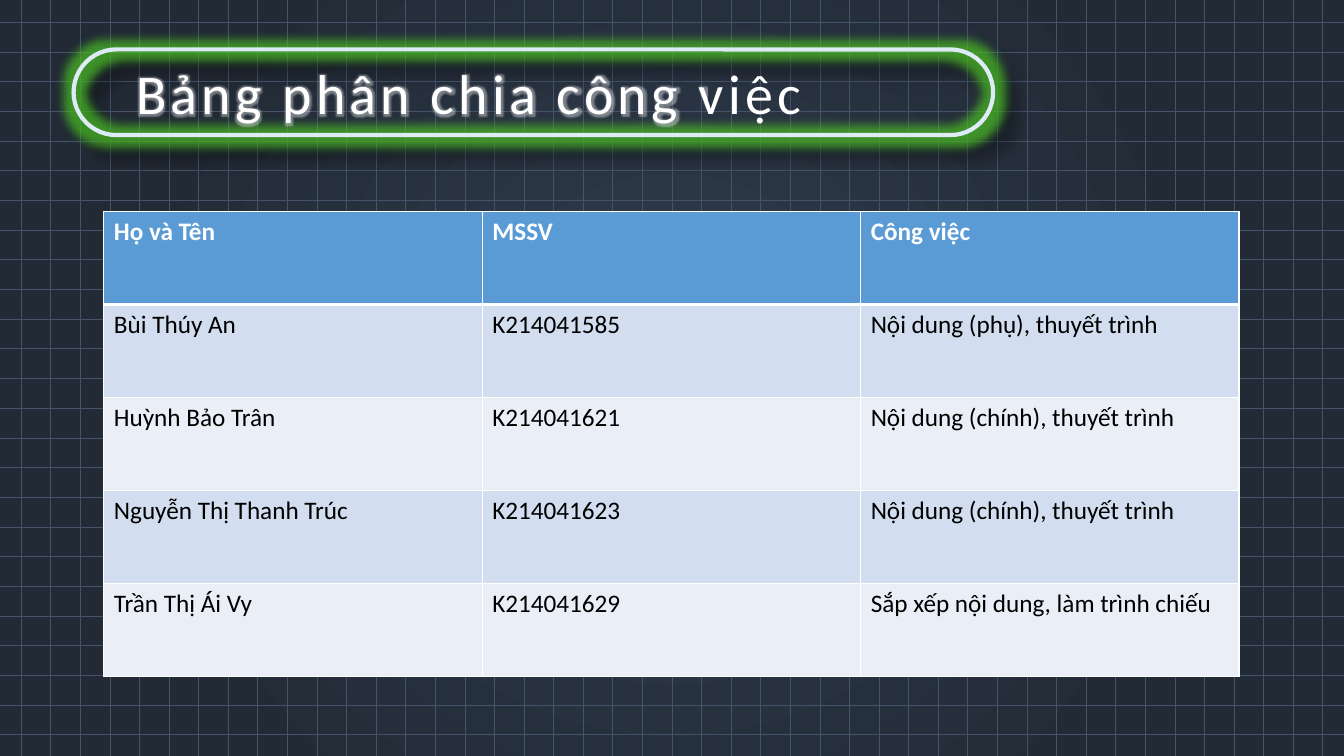
from dataclasses import dataclass
from typing import Any

from lxml.etree import SubElement
from pptx import Presentation
from pptx.dml.color import RGBColor
from pptx.enum.shapes import MSO_CONNECTOR as Connector, MSO_SHAPE as Preset
from pptx.enum.text import MSO_ANCHOR as Anchor, MSO_AUTO_SIZE as AutoSize, PP_ALIGN as Align
from pptx.oxml import parse_xml
from pptx.oxml.ns import nsdecls, qn
from pptx.util import Inches, Pt


@dataclass(frozen=True)
class Theme:
    """Colours, type and line sizes of the slide."""
    font: str = "Calibri"
    title_size: int = 40
    table_size: int = 18
    grid_width: float = 0.5
    frame_width: int = 3
    white: str = "FFFFFF"
    black: str = "000000"
    glow: str = "4BC024"
    frame: str = "DEEBF7"
    grid: str = "435369"
    center: str = "303C4C"
    edge: str = "222A35"
    header: str = "5B9BD5"
    bands: tuple[str, str] = ("D2DEEF", "EAEFF7")


@dataclass(frozen=True)
class GridAxis:
    """Evenly spaced parallel lines, from first to last position."""
    first: float
    last: float
    count: int
    vertical: bool

    def positions(self) -> list[float]:
        """Return the place of every line."""
        step = (self.last - self.first) / (self.count - 1)
        return [self.first + step * index for index in range(self.count)]


@dataclass(frozen=True)
class Member:
    """One row of the work table."""
    name: str
    number: str
    work: str


THEME = Theme()
WIDTH, HEIGHT = 13.33, 7.5
AXES = (GridAxis(0.21, 13.12, 45, True), GridAxis(0.22, 7.29, 25, False))
ROWS = (
    Member("Họ và Tên", "MSSV", "Công việc"),
    Member("Bùi Thúy An", "K214041585", "Nội dung (phụ), thuyết trình"),
    Member("Huỳnh Bảo Trân", "K214041621", "Nội dung (chính), thuyết trình"),
    Member("Nguyễn Thị Thanh Trúc", "K214041623", "Nội dung (chính), thuyết trình"),
    Member("Trần Thị Ái Vy", "K214041629", "Sắp xếp nội dung, làm trình chiếu"),
)


def apply(target: Any, values: dict[str, Any]) -> None:
    """Set each named attribute on the target."""
    for name, value in values.items():
        setattr(target, name, value)


def style_font(font: Any, size: int, color: str, bold: bool = False) -> None:
    """Format a font with the slide's typeface."""
    apply(font, {"name": THEME.font, "size": Pt(size), "bold": bold})
    font.color.rgb = RGBColor.from_string(color)


def add_color(parent: Any, color: str, alpha: int = 100) -> None:
    """Add a colour with its opacity in percent."""
    node = SubElement(parent, qn("a:srgbClr"), val=color)
    SubElement(node, qn("a:alpha"), val=str(alpha * 1000))


def add_glow(effects: Any, color: str, radius: int, alpha: int) -> None:
    """Add a glow to an effect list."""
    add_color(SubElement(effects, qn("a:glow"), rad=str(Pt(radius))), color, alpha)


def paint_background(page: Any) -> None:
    """Fill the page with a circular gradient."""
    page.element.cSld.insert(0, parse_xml(
        f'<p:bg {nsdecls("p", "a")}><p:bgPr><a:gradFill><a:gsLst>'
        f'<a:gs pos="0"><a:srgbClr val="{THEME.center}"/></a:gs>'
        f'<a:gs pos="73000"><a:srgbClr val="{THEME.edge}"/></a:gs></a:gsLst>'
        '<a:path path="circle"><a:fillToRect l="50000" t="50000" r="50000" b="50000"/></a:path>'
        '</a:gradFill><a:effectLst/></p:bgPr></p:bg>'))


def draw_grid(page: Any) -> None:
    """Draw the grid lines as one group."""
    group = page.shapes.add_group_shape()
    for axis in AXES:
        for place in axis.positions():
            ends = (place, 0, place, HEIGHT) if axis.vertical else (WIDTH, place, 0, place)
            line = group.shapes.add_connector(Connector.STRAIGHT, *map(Inches, ends))
            line.line.width = Pt(THEME.grid_width)
            line.line.color.rgb = RGBColor.from_string(THEME.grid)
            SubElement(line.element.spPr, qn("a:effectLst"))


def draw_frame(page: Any) -> None:
    """Draw the glowing frame around the title."""
    frame = page.shapes.add_shape(Preset.ROUNDED_RECTANGLE, *map(Inches, (0.73, 0.49, 9.12, 0.85)))
    frame.adjustments[0] = 0.5
    frame.fill.background()
    frame.line.width = Pt(THEME.frame_width)
    frame.line.color.rgb = RGBColor.from_string(THEME.frame)
    frame.shadow.inherit = False
    effects = frame.element.spPr.find(qn("a:effectLst"))
    add_glow(effects, THEME.glow, 14, 70)
    shadow = SubElement(effects, qn("a:outerShdw"), blurRad=str(Pt(6)), dist=str(Pt(14)),
                        dir=str(47 * 60000), algn="ctr", rotWithShape="0")
    add_color(shadow, THEME.black, 35)


def write_title(page: Any) -> None:
    """Place and format the title above the frame."""
    title = page.shapes.title
    title.element.getparent().append(title.element)
    apply(title, dict(zip(("left", "top", "width", "height"), map(Inches, (1.25, 0.53, 7.64, 0.77)))))
    apply(title.text_frame, {"word_wrap": False, "auto_size": AutoSize.SHAPE_TO_FIT_TEXT,
                             "vertical_anchor": Anchor.TOP})
    para = title.text_frame.paragraphs[0]
    apply(para, {"alignment": Align.LEFT, "line_spacing": 1.0})
    span = para.add_run()
    span.text = "Bảng phân chia công việc"
    style_font(span.font, THEME.title_size, THEME.white)
    properties = span.font.fill and span._r.get_or_add_rPr()
    properties.set("spc", "300")
    effects = parse_xml(f'<a:effectLst {nsdecls("a")}/>')
    add_glow(effects, THEME.white, 5, 40)
    properties.find(qn("a:solidFill")).addnext(effects)


def add_border(cell: Any, side: str, width: int, index: int) -> None:
    """Draw one white cell border ahead of the cell's fill."""
    border = parse_xml(f'<a:{side} {nsdecls("a")} w="{Pt(width)}"><a:solidFill>'
                       f'<a:srgbClr val="{THEME.white}"/></a:solidFill></a:{side}>')
    cell._tc.get_or_add_tcPr().insert(index, border)


def draw_table(page: Any) -> None:
    """Draw the table of members and their work."""
    box = page.shapes.add_table(len(ROWS), 3, *map(Inches, (1.03, 2.1, 11.26, 4.61)))
    for row, member in enumerate(ROWS):
        header = row == 0
        fill = THEME.header if header else THEME.bands[(row - 1) % 2]
        for column, text in enumerate((member.name, member.number, member.work)):
            cell = box.table.cell(row, column)
            cell.fill.solid()
            cell.fill.fore_color.rgb = RGBColor.from_string(fill)
            span = cell.text_frame.paragraphs[0].add_run()
            span.text = text
            style_font(span.font, THEME.table_size, THEME.white if header else THEME.black, header)
            widths = {"lnL": 1, "lnR": 1, "lnT": 3 if row == 1 else 1, "lnB": 3 if header else 1}
            for index, (side, width) in enumerate(widths.items()):
                add_border(cell, side, width, index)


def main() -> None:
    """Build and save the slide."""
    deck = Presentation()
    apply(deck, {"slide_width": Inches(WIDTH), "slide_height": Inches(HEIGHT)})
    page = deck.slides.add_slide(deck.slide_layouts[5])
    paint_background(page)
    draw_grid(page)
    draw_frame(page)
    write_title(page)
    draw_table(page)
    deck.save("out.pptx")


if __name__ == "__main__":
    main()
